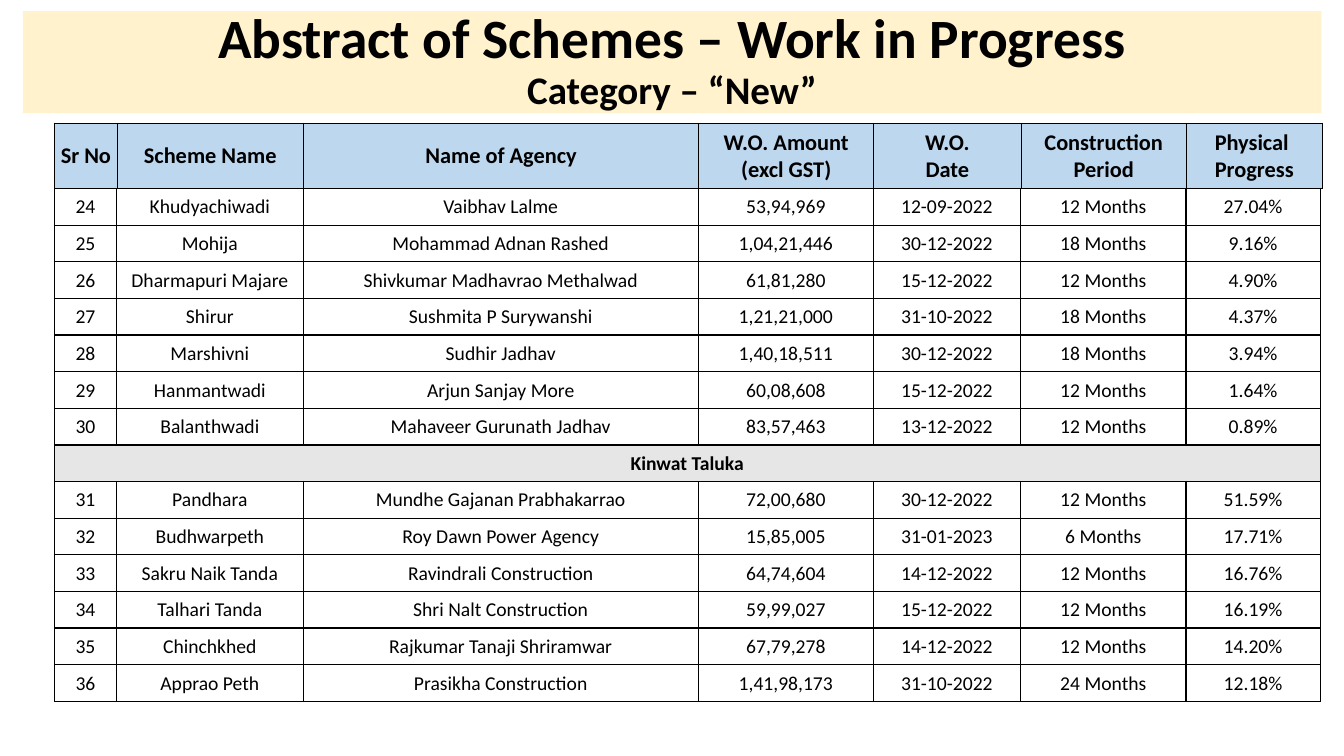
import lxml.etree
import pptx
import pptx.dml.color
import pptx.enum.shapes
import pptx.enum.text
import pptx.oxml.ns
import pptx.util

Cm, Pt = pptx.util.Cm, pptx.util.Pt
CENTER = pptx.enum.text.PP_ALIGN.CENTER
MIDDLE = pptx.enum.text.MSO_ANCHOR.MIDDLE
FONT = "Calibri"
BLACK, CREAM, BLUE, GREY = "000000", "FFF2CC", "BDD7EE", "E7E6E6"

# "|" is a line break, "\n" starts a new paragraph
HEADINGS = ["Sr No", "Scheme Name", "Name of Agency", "W.O. Amount|(excl GST)",
            "W.O.|Date", "Construction|Period", "Physical \nProgress"]
TALUKA = "Kinwat Taluka"
SCHEMES = [
    ["24", "Khudyachiwadi", "Vaibhav Lalme", "53,94,969", "12-09-2022", "12 Months", "27.04%"],
    ["25", "Mohija", "Mohammad Adnan Rashed", "1,04,21,446", "30-12-2022", "18 Months", "9.16%"],
    ["26", "Dharmapuri Majare", "Shivkumar Madhavrao Methalwad", "61,81,280", "15-12-2022", "12 Months", "4.90%"],
    ["27", "Shirur", "Sushmita P Surywanshi", "1,21,21,000", "31-10-2022", "18 Months", "4.37%"],
    ["28", "Marshivni", "Sudhir Jadhav", "1,40,18,511", "30-12-2022", "18 Months", "3.94%"],
    ["29", "Hanmantwadi", "Arjun Sanjay More", "60,08,608", "15-12-2022", "12 Months", "1.64%"],
    ["30", "Balanthwadi", "Mahaveer Gurunath Jadhav", "83,57,463", "13-12-2022", "12 Months", "0.89%"],
    [TALUKA],
    ["31", "Pandhara", "Mundhe Gajanan Prabhakarrao", "72,00,680", "30-12-2022", "12 Months", "51.59%"],
    ["32", "Budhwarpeth", "Roy Dawn Power Agency", "15,85,005", "31-01-2023", "6 Months", "17.71%"],
    ["33", "Sakru Naik Tanda", "Ravindrali Construction", "64,74,604", "14-12-2022", "12 Months", "16.76%"],
    ["34", "Talhari Tanda", "Shri Nalt Construction", "59,99,027", "15-12-2022", "12 Months", "16.19%"],
    ["35", "Chinchkhed", "Rajkumar Tanaji Shriramwar", "67,79,278", "14-12-2022", "12 Months", "14.20%"],
    ["36", "Apprao Peth", "Prasikha Construction", "1,41,98,173", "31-10-2022", "24 Months", "12.18%"],
]
COLUMNS = [1.57, 4.7, 9.96, 4.41, 3.71, 4.17]  # the last column takes the rest


def rgb(color):
    return pptx.dml.color.RGBColor.from_string(color)


def add_run(p, text, size, bold):
    r = p.add_run()
    r.text = text
    r.font.name, r.font.size, r.font.bold = FONT, Pt(size), bold
    r.font.color.rgb = rgb(BLACK)


def add_lines(p, lines):
    """Put (text, size, bold) lines into one centred paragraph."""
    p.alignment = CENTER
    for i, line in enumerate(lines):
        if i:
            p.add_line_break()
        add_run(p, *line)


def set_borders(cell, widths):
    tcPr = cell._tc.get_or_add_tcPr()
    for side, width in zip("LRTB", widths):
        ln = lxml.etree.SubElement(tcPr, pptx.oxml.ns.qn("a:ln" + side), w=str(Pt(width)))
        fill = lxml.etree.SubElement(ln, pptx.oxml.ns.qn("a:solidFill"))
        lxml.etree.SubElement(fill, pptx.oxml.ns.qn("a:srgbClr"), val=BLACK)


def fill_cell(cell, text, size, bold, fill, borders):
    set_borders(cell, borders)
    if fill:
        cell.fill.solid()
        cell.fill.fore_color.rgb = rgb(fill)
    else:
        cell.fill.background()
    cell.vertical_anchor = MIDDLE
    cell.margin_left = cell.margin_right = cell.margin_top = Cm(0.02)
    cell.margin_bottom = 0
    tf = cell.text_frame
    for i, part in enumerate(text.split("\n")):
        p = tf.add_paragraph() if i else tf.paragraphs[0]
        add_lines(p, [(line, size, bold) for line in part.split("|")])


def add_grid(s, left, top, width, height, rows):
    """Add a plain table with equal rows and the shared column widths."""
    tbl = s.shapes.add_table(rows, len(HEADINGS), Cm(left), Cm(top), Cm(width), Cm(height)).table
    tbl.first_row = tbl.horz_banding = False
    for col, w in zip(tbl.columns, COLUMNS + [width - sum(COLUMNS)]):
        col.width = Cm(w)
    for row in tbl.rows:
        row.height = Cm(height / rows)
    return tbl


def title_band(s, left, top, width, height):
    sp = s.shapes.add_shape(pptx.enum.shapes.MSO_SHAPE.RECTANGLE,
                            Cm(left), Cm(top), Cm(width), Cm(height))
    sp.shadow.inherit = False
    sp.fill.solid()
    sp.fill.fore_color.rgb = rgb(CREAM)
    sp.line.fill.background()
    tf = sp.text_frame
    tf.word_wrap = True
    tf.vertical_anchor = MIDDLE
    tf.margin_top = tf.margin_bottom = 0
    p = tf.paragraphs[0]
    p.line_spacing = 0.9
    add_lines(p, [("Abstract of Schemes – Work in Progress", 39.6, True),
                  ("Category – “New”", 27.9, True)])


def heading_table(s, left, top, width, height):
    tbl = add_grid(s, left, top, width, height, 1)
    for c, text in enumerate(HEADINGS):
        fill_cell(tbl.cell(0, c), text, 16, True, BLUE, (0.5, 0.5, 0.5, 1))


def scheme_table(s, left, top, width, height):
    tbl = add_grid(s, left, top, width, height, len(SCHEMES))
    for i, row in enumerate(SCHEMES):
        if row == [TALUKA]:
            # Taluka band across all columns
            tbl.cell(i, 0).merge(tbl.cell(i, len(HEADINGS) - 1))
            fill_cell(tbl.cell(i, 0), TALUKA, 14, True, GREY, (1, 1, 1, 1))
            for c in range(1, len(HEADINGS)):
                set_borders(tbl.cell(i, c), (1, 1, 1, 1))
            continue
        for c, text in enumerate(row):
            fill_cell(tbl.cell(i, c), text, 14, False, None, (1, 1, 1, 1))


def main():
    prs = pptx.Presentation()
    prs.slide_width, prs.slide_height = Cm(33.87), Cm(19.05)
    s = prs.slides.add_slide(prs.slide_layouts[6])
    title_band(s, 0.58, 0.28, 32.72, 2.57)
    heading_table(s, 1.38, 3.1, 31.94, 1.65)
    scheme_table(s, 1.37, 4.75, 31.9, 12.93)
    prs.save("out.pptx")


if __name__ == "__main__":
    main()
